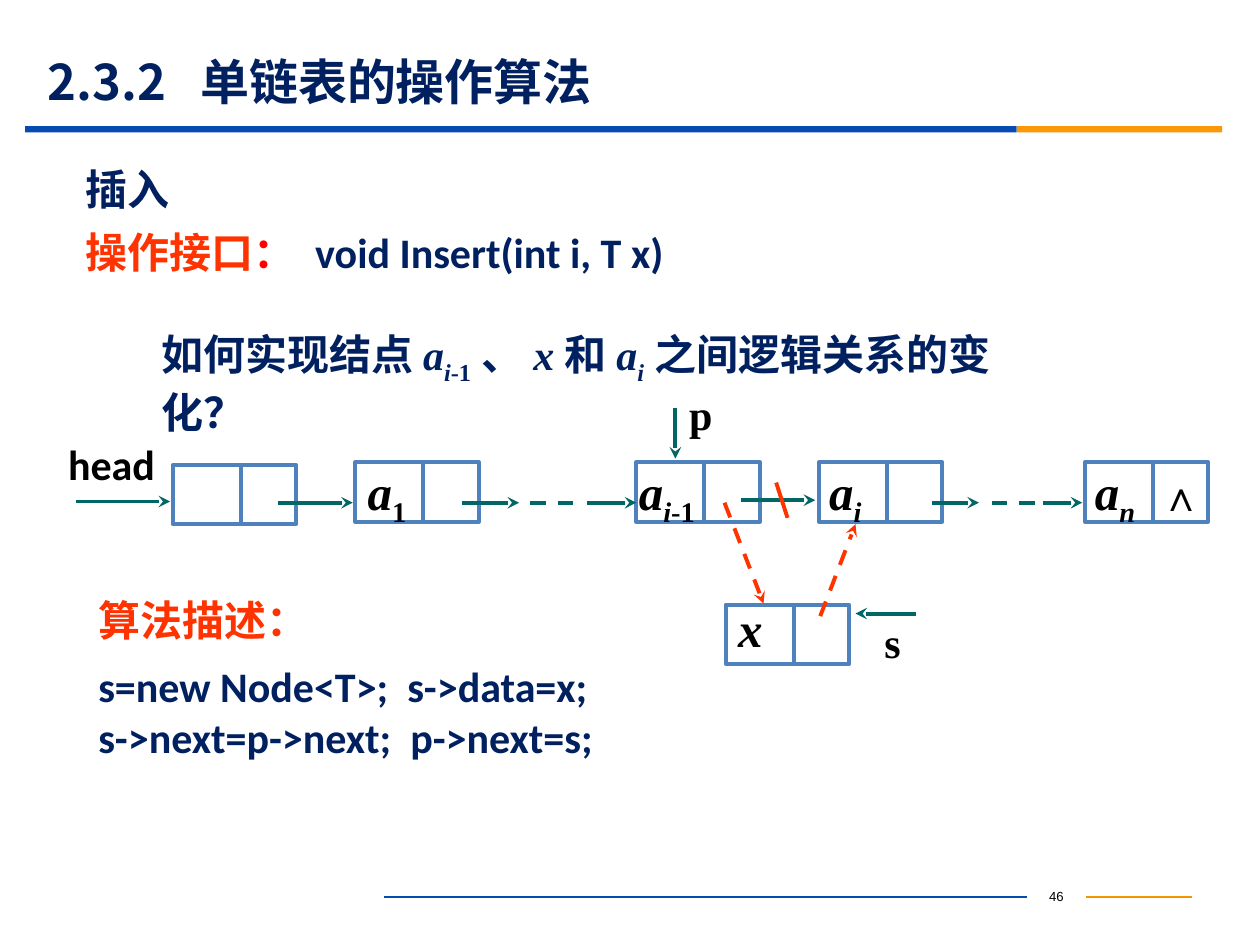
import pptx
import pptx.dml.color
import pptx.enum.dml
import pptx.enum.shapes
import pptx.enum.text
import pptx.oxml.ns
import pptx.util
import lxml.etree
from dataclasses import dataclass
from pptx.util import Inches


@dataclass(frozen=True)
class Theme:
    navy: str = "002060"
    blue: str = "064BB2"
    orange: str = "FB9708"
    amber: str = "F19500"
    red: str = "FF3300"
    alert: str = "FF0000"
    teal: str = "006666"
    box: str = "4F81BD"
    black: str = "000000"
    big: float = 28
    text: float = 24
    tiny: float = 7.5
    thick: float = 2.25
    thin: float = 0.75
    han: str = "Noto Sans CJK SC"
    serif: str = "Times New Roman"
    sans: str = "Calibri"
    mono: str = "Courier New"
    plain: str = "Arial"


theme = Theme()
rgb = pptx.dml.color.RGBColor.from_string
qn = pptx.oxml.ns.qn
anchor = pptx.enum.text.MSO_ANCHOR
align = pptx.enum.text.PP_ALIGN

deck = pptx.Presentation()
deck.slide_width, deck.slide_height = Inches(10), Inches(7.5)
slide = deck.slides.add_slide(deck.slide_layouts[1])
shapes = slide.shapes


def write(para, runs, size, color, font, bold=True):
    """Each run is (text, style): i for italic, _ for subscript."""
    para.font.size = pptx.util.Pt(size)
    para.font.bold = bold
    para.font.name = font
    para.font.color.rgb = rgb(color)
    for text, style in runs:
        run = para.add_run()
        run.text = text
        props = run._r.get_or_add_rPr()
        if "i" in style:
            run.font.italic = True
        if "_" in style:
            props.set("baseline", "-25000")
        if any(char >= "一" for char in text):
            lxml.etree.SubElement(props, qn("a:ea"), typeface=theme.han)


def link(ends, color, width=theme.thick, head=True, dash=False):
    line = shapes.add_connector(
        pptx.enum.shapes.MSO_CONNECTOR.STRAIGHT, *map(Inches, ends))
    line.line.color.rgb = rgb(color)
    line.line.width = pptx.util.Pt(width)
    if dash:
        line.line.dash_style = pptx.enum.dml.MSO_LINE.DASH
    props = line._element.spPr
    if head:
        lxml.etree.SubElement(props.find(qn("a:ln")), qn("a:tailEnd"), type="stealth")
    lxml.etree.SubElement(props, qn("a:effectLst"))


# Rules and page number
for left, width, color in [(0.2, 7.87, theme.blue), (8.07, 1.63, theme.orange)]:
    bar = shapes.add_shape(pptx.enum.shapes.MSO_SHAPE.RECTANGLE,
                           Inches(left), Inches(1), Inches(width), Inches(0.05))
    bar.shadow.inherit = False
    bar.fill.solid()
    bar.fill.fore_color.rgb = rgb(color)
    bar.line.fill.background()
link((3.05, 7.12, 8.15, 7.12), theme.blue, theme.thin, head=False)
link((8.62, 7.12, 9.46, 7.12), theme.amber, theme.thin, head=False)
page = shapes.add_textbox(Inches(8.15), Inches(6.99), Inches(0.47), Inches(0.25))
page.text_frame.vertical_anchor = anchor.MIDDLE
para = page.text_frame.paragraphs[0]
para.alignment = align.CENTER
write(para, [("46", "")], theme.tiny, theme.black, theme.plain, bold=False)

# Title
title = shapes.title
title.left, title.top = Inches(0.28), Inches(0.43)
title.width, title.height = Inches(9), Inches(0.43)
frame = title.text_frame
frame.auto_size = pptx.enum.text.MSO_AUTO_SIZE.NONE
frame.vertical_anchor = anchor.MIDDLE
frame.paragraphs[0].alignment = align.LEFT
write(frame.paragraphs[0], [("2.3.2  单链表的操作算法", "")],
      theme.big, theme.navy, theme.han)

# Algorithm
body = slide.placeholders[1]
body.left, body.top = Inches(0.68), Inches(4.67)
body.width, body.height = Inches(5.57), Inches(1.51)
frame = body.text_frame
frame.auto_size = pptx.enum.text.MSO_AUTO_SIZE.NONE
steps = [
    ("算法描述：", 0, theme.red, theme.serif),
    ("s=new Node<T>;  s->data=x;", 9, theme.navy, theme.sans),
    ("s->next=p->next;  p->next=s;", 0, theme.navy, theme.sans),
]
for row, (text, gap, color, font) in enumerate(steps):
    para = frame.add_paragraph() if row else frame.paragraphs[0]
    props = para._p.get_or_add_pPr()
    props.set("marL", "0")
    props.set("indent", "0")
    lxml.etree.SubElement(props, qn("a:buNone"))
    para.alignment = align.JUSTIFY
    para.space_before = pptx.util.Pt(gap)
    write(para, [(text, "")], theme.text, color, font)

# Nodes of the list, each with a data and a link cell
nodes = [
    (1.37, 3.69, 0.1, []),
    (2.82, 3.67, 0.1, [("a", "i"), ("1", "_")]),
    (5.05, 3.67, 0.02, [("a", "i"), ("i", "i_"), ("-1", "_")]),
    (6.5, 3.67, 0.08, [("a", "i"), ("i", "i_")]),
    (8.61, 3.67, 0.08, [("a", "i"), ("n", "i_")]),
    (5.76, 4.8, 0.1, [("x", "i")]),
]
for left, top, inset, runs in nodes:
    node = shapes.add_shape(pptx.enum.shapes.MSO_SHAPE.RECTANGLE,
                            Inches(left), Inches(top), Inches(0.98), Inches(0.47))
    node.shadow.inherit = False
    node.fill.background()
    node.line.color.rgb = rgb(theme.box)
    node.line.width = pptx.util.Pt(theme.thick)
    frame = node.text_frame
    frame.vertical_anchor = anchor.TOP
    frame.margin_left, frame.margin_bottom = Inches(inset), Inches(0.08)
    frame.margin_top = frame.margin_right = 0
    para = frame.paragraphs[0]
    para.alignment = align.LEFT
    para.line_spacing = 0.9
    write(para, runs, theme.big, theme.black, theme.serif)
    link((left + 0.54, top, left + 0.54, top + 0.47), theme.box, head=False)

# Links between nodes, and the pointers p and s
for ends in [
    (0.6, 3.98, 1.35, 3.98), (2.21, 3.99, 2.8, 3.99), (3.67, 3.99, 4.12, 3.99),
    (4.66, 3.99, 5.05, 3.99), (5.88, 3.97, 6.47, 3.97), (7.4, 3.99, 7.77, 3.99),
    (8.28, 3.99, 8.59, 3.99), (5.36, 3.24, 5.36, 3.64), (7.27, 4.87, 6.79, 4.87),
]:
    link(ends, theme.teal)
for start, end in [(4.21, 4.55), (7.87, 8.22)]:
    link((start, 3.99, end, 3.99), theme.teal, head=False, dash=True)

# New links through x, and the cut in the old one
for ends in [(5.75, 3.99, 6.06, 4.79), (6.51, 4.89, 6.79, 4.16)]:
    link(ends, theme.red, dash=True)
link((6.16, 3.83, 6.25, 4.11), theme.red, head=False)

# Text boxes: place, insets (left, top), runs, colour, font
ask = [("如何实现结点", ""), ("a", "i"), ("i", "i_"), ("-1", "_"), ("、", ""),
       ("x", "i"), ("和", ""), ("a", "i"), ("i", "i_"), ("之间逻辑关系的变化？", "")]
call = [("操作接口", ""), ("： ", ""), ("void Insert(int i, T x)", "")]
labels = [
    ((0.58, 1.18, 6.48, 0.64), (0.1, 0.05), [("插入", "")], theme.navy, theme.han),
    ((0.68, 1.79, 6.9, 0.52), (0, 0.05), call, theme.red, theme.serif),
    ((1.18, 2.56, 7.08, 0.51), (0.1, 0.05), ask, theme.navy, theme.serif),
    ((0.54, 3.48, 0.83, 0.51), (0, 0), [("head", "")], theme.black, theme.sans),
    ((5.47, 3.08, 0.27, 0.4), (0, 0), [("p", "")], theme.black, theme.serif),
    ((7.02, 4.89, 0.27, 0.4), (0, 0), [("s", "")], theme.black, theme.serif),
    ((9.11, 3.68, 0.49, 0.5), (0.1, 0.05), [("∧", "")], theme.black, theme.serif),
]
for place, (side, edge), runs, color, font in labels:
    frame = shapes.add_textbox(*map(Inches, place)).text_frame
    frame.word_wrap = True
    frame.margin_left = frame.margin_right = Inches(side)
    frame.margin_top = frame.margin_bottom = Inches(edge)
    para = frame.paragraphs[0]
    write(para, runs, theme.text, color, font)
    if runs[0][0] == "插入":
        frame.vertical_anchor = anchor.MIDDLE
    elif runs[0][0] == "∧":
        para.alignment = align.CENTER
    elif runs is call:
        para.line_spacing = 0.9
        looks = [(theme.mono, theme.alert), (theme.sans, theme.navy)]
        for run, (face, tint) in zip(para.runs[1:], looks):
            run.font.name = face
            run.font.color.rgb = rgb(tint)

deck.save("out.pptx")
